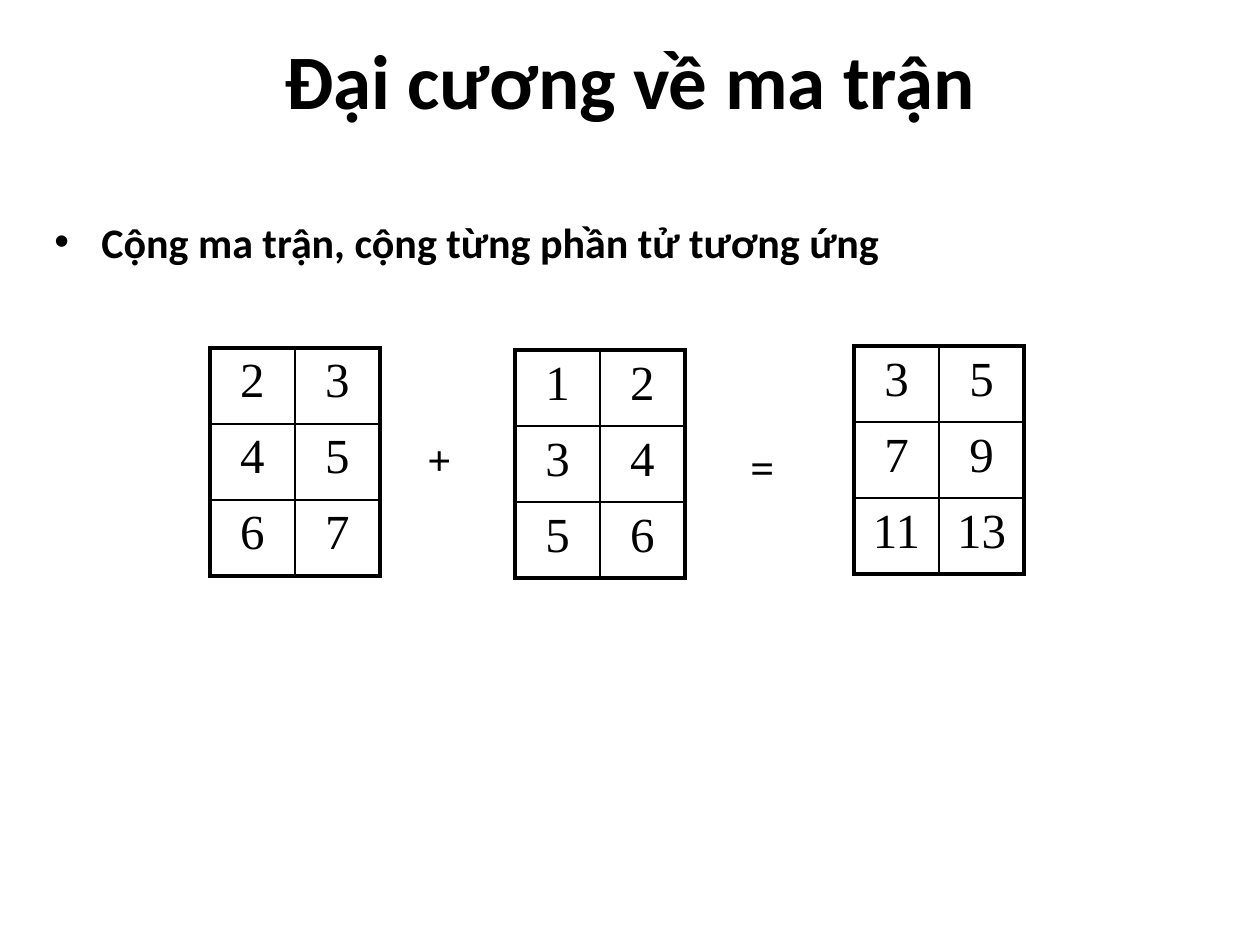
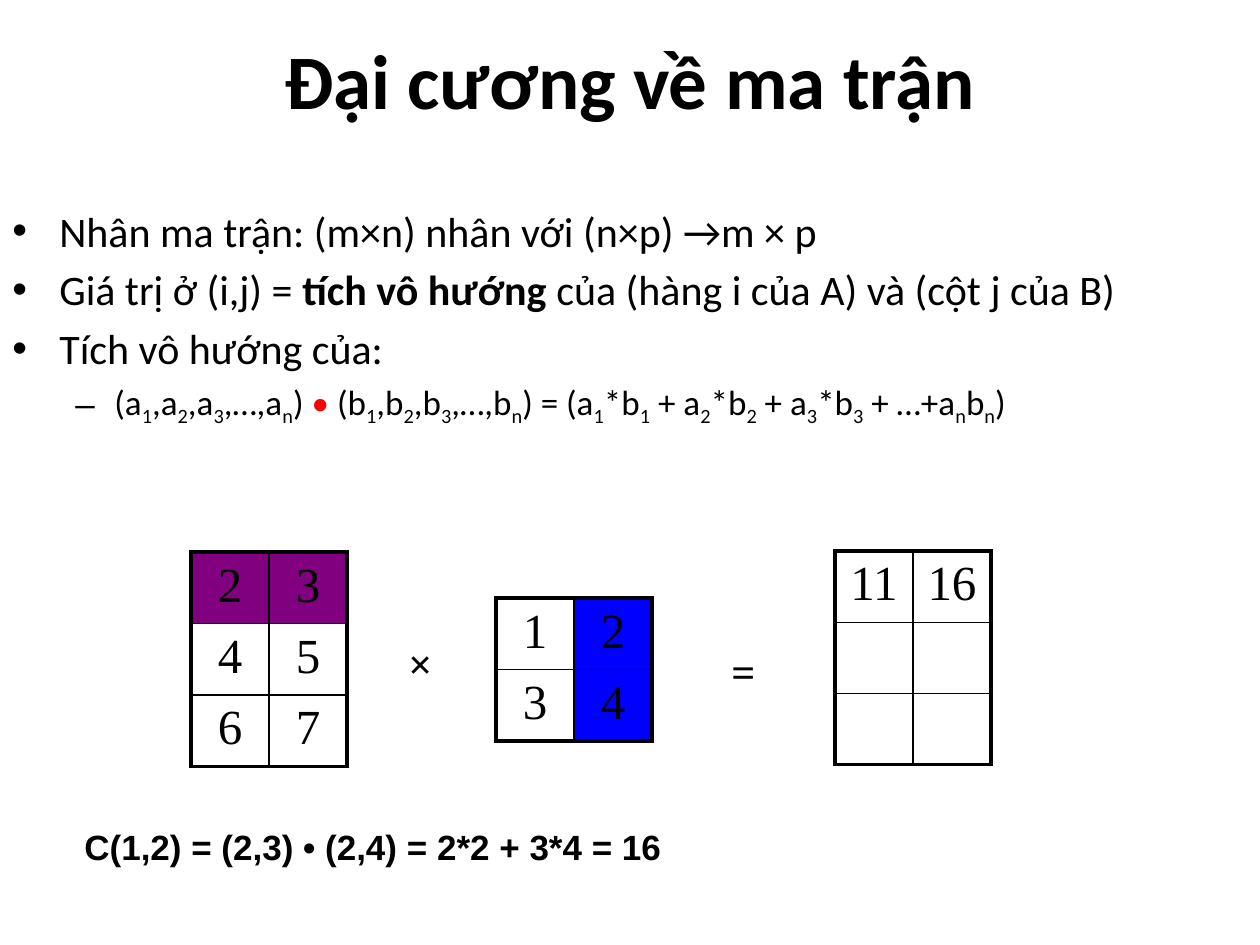
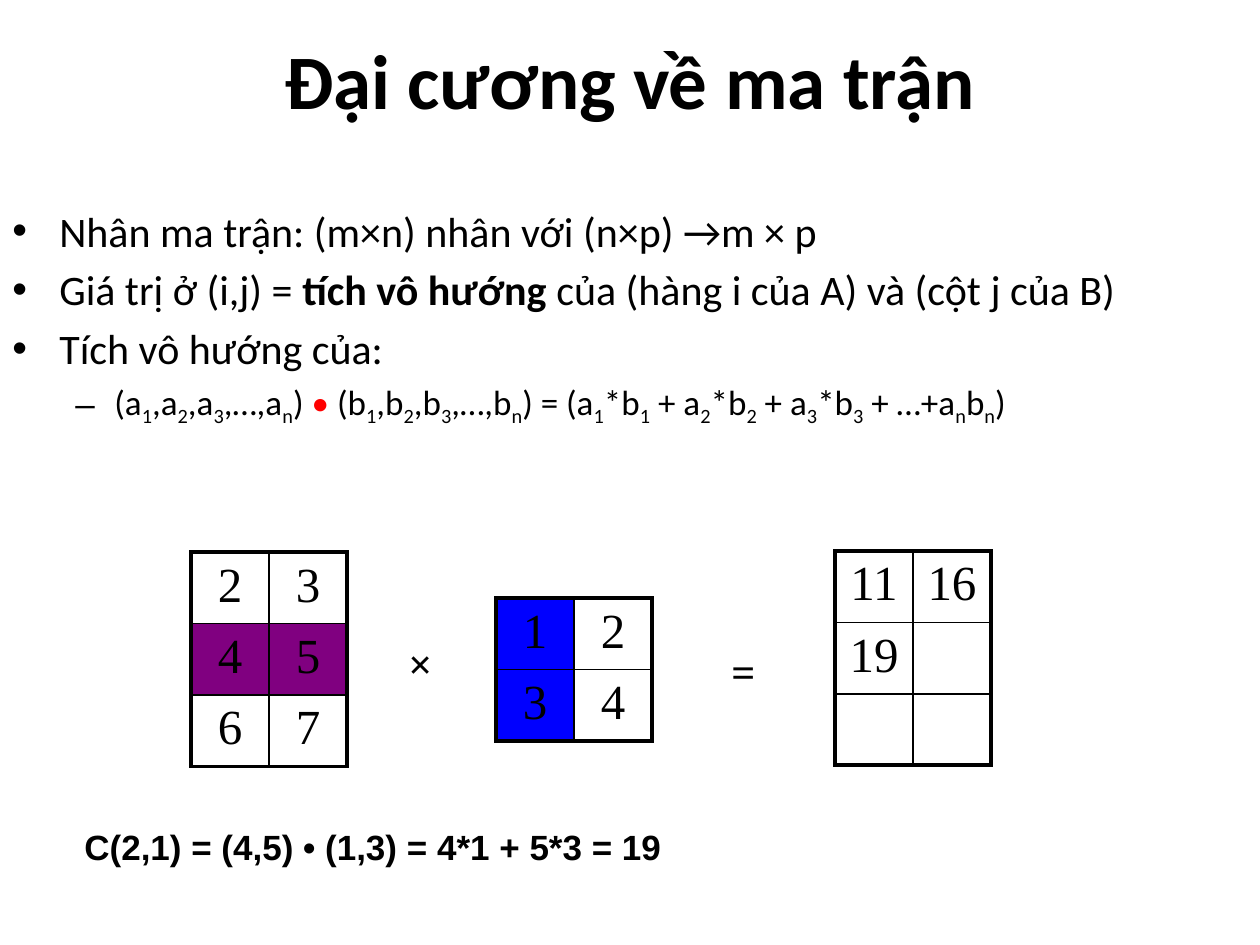
from lxml.etree import SubElement
from pptx import Presentation
from pptx.dml.color import RGBColor
from pptx.enum.text import MSO_ANCHOR, MSO_AUTO_SIZE, PP_ALIGN
from pptx.oxml.ns import qn
from pptx.util import Emu, Pt

PX = 914400 / 126
COLORS = {"ink": "000000", "row": "800080", "column": "0000FF", "dot": "FF0000"}
TITLE = "Đại cương về ma trận"
# bullet, size, left margin and hanging indent of each outline level
LEVELS = [("•", 24, 47, 47), ("–", 20, 102, 39)]


def px(*lengths):
    return [Emu(round(length * PX)) for length in lengths]


def write(paragraph, text, size, font, bold=False, color="ink", subscript=False):
    run = paragraph.add_run()
    run.text = text
    run.font.size = Pt(size)
    run.font.name = font
    run.font.bold = bold
    run.font.color.rgb = RGBColor.from_string(COLORS[color])
    if subscript:
        run._r.get_or_add_rPr().set("baseline", "-25000")


# Sum slide, then one slide for each entry of the product being worked out
factor_a = [[2, 3], [4, 5], [6, 7]]
factor_b = [[1, 2], [3, 4]]
sum_slide = {
    "body_box": (42, 210, 1166, 683),
    "align": PP_ALIGN.LEFT,
    "outline": [(0, [("Cộng ma trận, cộng từng phần tử tương ứng", True, "ink")])],
    "cell": (85, 76),
    "matrices": [
        (factor_a, 210, 348, {}),
        ([[1, 2], [3, 4], [5, 6]], 515, 350, {}),
        ([[3, 5], [7, 9], [11, 13]], 854, 346, {}),
    ],
    "labels": [
        ("+", (415, 427, 62, 63), 24, "Times New Roman"),
        ("=", (738, 435, 62, 63), 24, "Times New Roman"),
    ],
}
product_outline = [
    (0, [("Nhân ma trận: (m×n) nhân với (n×p) →m × p", False, "ink")]),
    (0, [("Giá trị ở (i,j) = ", False, "ink"),
         ("tích vô hướng ", True, "ink"),
         ("của (hàng i của A) và (cột j của B)", False, "ink")]),
    (0, [("Tích vô hướng của:", False, "ink")]),
    (1, [("(a_1,a_2,a_3,…,a_n) ", False, "ink"),
         ("• ", False, "dot"),
         ("(b_1,b_2,b_3,…,b_n) = (a_1*b_1 + a_2*b_2 + a_3*b_3 + …+a_nb_n)", False, "ink")]),
]
slides = [sum_slide]
for row, column, product in [
    (0, 1, [[11, 16], ["", ""], ["", ""]]),
    (1, 0, [[11, 16], [19, ""], ["", ""]]),
]:
    a1, a2 = factor_a[row]
    b1, b2 = [values[column] for values in factor_b]
    equation = (f"C({row + 1},{column + 1}) = ({a1},{a2}) • ({b1},{b2})"
                f" = {a1}*{b1} + {a2}*{b2} = {a1 * b1 + a2 * b2}")
    slides.append({
        "body_box": (0, 199, 1207, 289),
        "align": PP_ALIGN.JUSTIFY,
        "outline": product_outline,
        "cell": (78, 71),
        "matrices": [
            (factor_a, 191, 552, {(row, c): "row" for c in range(2)}),
            (factor_b, 496, 598, {(r, column): "column" for r in range(2)}),
            (product, 835, 551, {}),
        ],
        "labels": [
            ("×", (396, 631, 57, 63), 24, "Times New Roman"),
            ("=", (719, 639, 57, 63), 24, "Times New Roman"),
            (equation, (72, 819, 1094, 55), 20, "Arial"),
        ],
    })

prs = Presentation()
prs.slide_width, prs.slide_height = px(1260, 945)

for content in slides:
    slide = prs.slides.add_slide(prs.slide_layouts[5])
    title = slide.shapes.title
    title.left, title.top, title.width, title.height = px(63, 0, 1134, 158)
    title.text_frame.vertical_anchor = MSO_ANCHOR.MIDDLE
    heading = title.text_frame.paragraphs[0]
    heading.alignment = PP_ALIGN.CENTER
    write(heading, TITLE, 44, "Calibri", bold=True)

    body = slide.shapes.add_textbox(*px(*content["body_box"])).text_frame
    body.word_wrap = True
    for index, (level, phrases) in enumerate(content["outline"]):
        bullet, size, margin, hanging = LEVELS[level]
        point = body.add_paragraph() if index else body.paragraphs[0]
        point.level = level
        point.alignment = content["align"]
        point.space_before = Pt(size * 0.2)
        p_pr = point._p.get_or_add_pPr()
        left, indent = px(margin, -hanging)
        p_pr.set("marL", str(left))
        p_pr.set("indent", str(indent))
        SubElement(p_pr, qn("a:buFont"), typeface="Arial")
        SubElement(p_pr, qn("a:buChar"), char=bullet)
        for phrase, bold, color in phrases:
            # the character after each underscore is a subscript
            start, *indexed = phrase.split("_")
            write(point, start, size, "Calibri", bold, color)
            for part in indexed:
                write(point, part[0], size, "Calibri", bold, color, subscript=True)
                if part[1:]:
                    write(point, part[1:], size, "Calibri", bold, color)

    cell_width, cell_height = content["cell"]
    for values, left, top, highlights in content["matrices"]:
        last_row, last_column = len(values) - 1, len(values[0]) - 1
        box = px(left, top, cell_width * (last_column + 1), cell_height * (last_row + 1))
        matrix = slide.shapes.add_table(last_row + 1, last_column + 1, *box).table
        matrix.first_row = matrix.horz_banding = False
        for r, row_values in enumerate(values):
            for c, value in enumerate(row_values):
                cell = matrix.cell(r, c)
                tc_pr = cell._tc.get_or_add_tcPr()
                for side, outer in [("L", c == 0), ("R", c == last_column),
                                    ("T", r == 0), ("B", r == last_row)]:
                    border = SubElement(tc_pr, qn(f"a:ln{side}"), w=str(Pt(2.25 if outer else 1)))
                    stroke = SubElement(border, qn("a:solidFill"))
                    SubElement(stroke, qn("a:srgbClr"), val=COLORS["ink"])
                if (r, c) in highlights:
                    cell.fill.solid()
                    cell.fill.fore_color.rgb = RGBColor.from_string(COLORS[highlights[r, c]])
                else:
                    cell.fill.background()
                if value != "":
                    entry = cell.text_frame.paragraphs[0]
                    entry.alignment = PP_ALIGN.CENTER
                    entry.space_before = Pt(5.6)
                    write(entry, str(value), 28, "Times New Roman")

    for text, box, size, font in content["labels"]:
        label = slide.shapes.add_textbox(*px(*box)).text_frame
        label.word_wrap = True
        label.auto_size = MSO_AUTO_SIZE.SHAPE_TO_FIT_TEXT
        label.paragraphs[0].space_before = Pt(size * 0.5)
        write(label.paragraphs[0], text, size, font, bold=True)

prs.save("out.pptx")
